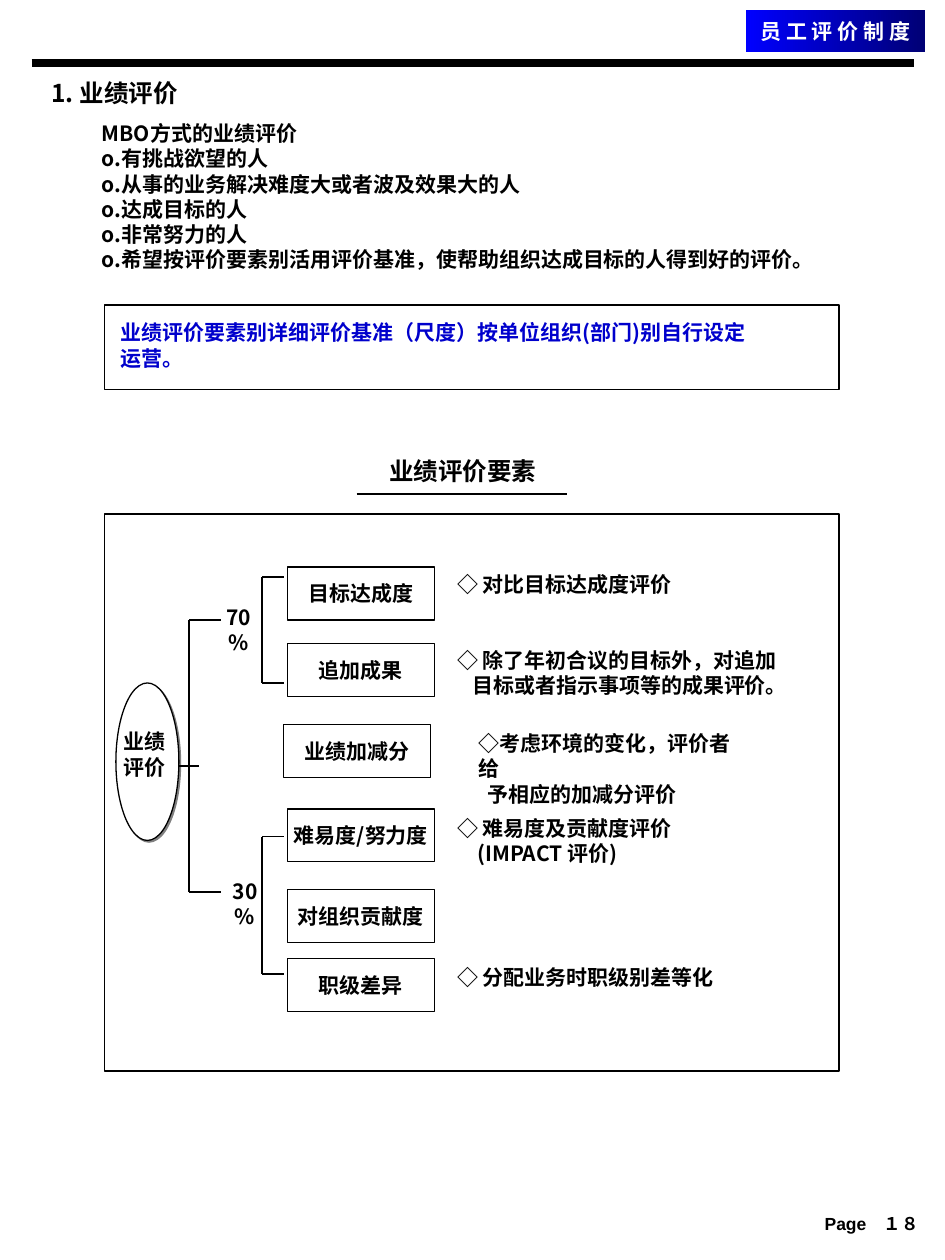
from dataclasses import dataclass

from lxml import etree
from pptx import Presentation
from pptx.dml.color import RGBColor
from pptx.enum.shapes import MSO_CONNECTOR, MSO_SHAPE
from pptx.enum.text import MSO_ANCHOR, MSO_AUTO_SIZE, PP_ALIGN
from pptx.oxml.ns import qn
from pptx.util import Inches, Pt

LEFT, CENTER, RIGHT = PP_ALIGN.LEFT, PP_ALIGN.CENTER, PP_ALIGN.RIGHT
TOP, MIDDLE = MSO_ANCHOR.TOP, MSO_ANCHOR.MIDDLE
RECT, OVAL = MSO_SHAPE.RECTANGLE, MSO_SHAPE.OVAL
STRAIGHT = MSO_CONNECTOR.STRAIGHT
FIT = MSO_AUTO_SIZE.SHAPE_TO_FIT_TEXT


@dataclass(frozen=True)
class Theme:
    black: RGBColor = RGBColor(0, 0, 0)
    white: RGBColor = RGBColor(255, 255, 255)
    blue: RGBColor = RGBColor(0, 0, 0xCC)
    navy: RGBColor = RGBColor(0, 0, 0x75)
    bright: RGBColor = RGBColor(0, 0, 255)
    shadow: str = "808080"
    font: str = "Noto Sans CJK KR"
    header_font: str = "Noto Sans CJK SC"
    page_font: str = "Arial"
    title: float = 14
    body: float = 12
    small: float = 10
    hairline: float = 0.75
    rule: float = 4.5


@dataclass(frozen=True)
class Line:
    text: str
    indent: float = 0
    before: float = 0


@dataclass(frozen=True)
class Factor:
    label: str
    left: float
    top: float


@dataclass(frozen=True)
class Note:
    lines: tuple[Line, ...]
    left: float
    top: float
    width: float
    height: float


@dataclass(frozen=True)
class Bracket:
    left: float
    right: float
    top: float
    bottom: float


T = Theme()

INTRO = [Line(t) for t in (
    "MBO方式的业绩评价",
    "o.有挑战欲望的人",
    "o.从事的业务解决难度大或者波及效果大的人",
    "o.达成目标的人",
    "o.非常努力的人",
    "o.希望按评价要素别活用评价基准，使帮助组织达成目标的人得到好的评价。",
)]
POLICY = [Line("业绩评价要素别详细评价基准（尺度）按单位组织(部门)别自行设定"),
          Line("运营。")]
FACTORS = [
    Factor("目标达成度", 2.28, 4.5),
    Factor("追加成果", 2.28, 5.11),
    Factor("业绩加减分", 2.25, 5.75),
    Factor("难易度/努力度", 2.28, 6.42),
    Factor("对组织贡献度", 2.28, 7.06),
    Factor("职级差异", 2.28, 7.61),
]
NOTES = [
    Note((Line("◇ 对比目标达成度评价"),
          Line("◇ 除了年初合议的目标外，对追加", before=28.8),
          Line("目标或者指示事项等的成果评价。", indent=0.12)), 3.53, 4.49, 2.95, 1.1),
    Note((Line("◇考虑环境的变化，评价者给"),
          Line("予相应的加减分评价", indent=0.07)), 3.7, 5.75, 2.36, 0.5),
    Note((Line("◇ 难易度及贡献度评价"),
          Line("(IMPACT 评价)", indent=0.16)), 3.53, 6.42, 1.95, 0.5),
    Note((Line("◇ 分配业务时职级别差等化"),), 3.53, 7.61, 2.28, 0.3),
]
BRACKETS = [
    Bracket(2.08, 2.25, 4.58, 5.42),
    Bracket(2.08, 2.25, 6.64, 7.73),
    Bracket(1.5, 1.75, 4.92, 7.08),
]


def write(s, lines, *, size=T.body, color=T.black, font=T.font, align=LEFT,
          anchor=TOP, wrap=False, fit=False, insets=(0.1, 0.05, 0.1, 0.05)) -> None:
    tf = s.text_frame
    tf.word_wrap = wrap
    tf.vertical_anchor = anchor
    tf.auto_size = FIT if fit else MSO_AUTO_SIZE.NONE
    (tf.margin_left, tf.margin_top,
     tf.margin_right, tf.margin_bottom) = map(Inches, insets)
    for i, line in enumerate(lines):
        p = tf.paragraphs[0] if i == 0 else tf.add_paragraph()
        p.alignment = align
        if line.before:
            p.space_before = Pt(line.before)
        if line.indent:
            p._p.get_or_add_pPr().set("marL", str(Inches(line.indent)))
        r = p.add_run()
        r.text = line.text
        r.font.size = Pt(size)
        r.font.bold = True
        r.font.color.rgb = color
        r.font.name = font
        etree.SubElement(r._r.get_or_add_rPr(), qn("a:ea"), typeface=font)


def add_text(slide, lines, left: float, top: float, width: float, height: float,
             *, fit=True, **fmt):
    s = slide.shapes.add_textbox(*map(Inches, (left, top, width, height)))
    write(s, lines, fit=fit, **fmt)
    return s


def add_box(slide, left: float, top: float, width: float, height: float,
            kind=RECT):
    s = slide.shapes.add_shape(kind, *map(Inches, (left, top, width, height)))
    s.shadow.inherit = False
    s.fill.background()
    s.line.color.rgb = T.black
    s.line.width = Pt(T.hairline)
    return s


def add_line(slide, x1: float, y1: float, x2: float, y2: float,
             width: float = T.hairline) -> None:
    c = slide.shapes.add_connector(STRAIGHT, *map(Inches, (x1, y1, x2, y2)))
    c.line.color.rgb = T.black
    c.line.width = Pt(width)
    etree.SubElement(c._element.spPr, qn("a:effectLst"))


def add_bracket(slide, b: Bracket) -> None:
    for y in (b.top, b.bottom):
        add_line(slide, b.left, y, b.right, y)
    add_line(slide, b.left, b.bottom, b.left, b.top)


def add_header(slide) -> None:
    add_line(slide, 0.25, 0.5, 7.25, 0.5, T.rule)
    s = add_box(slide, 5.92, 0.08, 1.42, 0.33)
    s.line.fill.background()
    s.fill.gradient()
    s.fill.gradient_angle = 180
    for stop, color in zip(s.fill.gradient_stops, (T.navy, T.bright)):
        stop.color.rgb = color
    write(s, [Line("员 工 评 价 制 度")], color=T.white, font=T.header_font,
          align=CENTER, anchor=MIDDLE)


def add_root(slide) -> None:
    s = add_box(slide, 0.92, 5.42, 0.5, 1.25, OVAL)
    s.fill.solid()
    s.fill.fore_color.rgb = T.white
    effects = s._element.spPr.find(qn("a:effectLst"))
    shadow = etree.SubElement(effects, qn("a:outerShdw"), dist=str(Pt(1.4)),
                              dir="2700000", algn="ctr", rotWithShape="0")
    etree.SubElement(shadow, qn("a:srgbClr"), val=T.shadow)
    write(s, [Line("业绩"), Line("评价")], align=CENTER, anchor=MIDDLE,
          insets=(0, 0, 0.04, 0.12))


def main() -> None:
    prs = Presentation()
    prs.slide_width, prs.slide_height = Inches(7.5), Inches(10)
    slide = prs.slides.add_slide(prs.slide_layouts[6])

    add_header(slide)
    add_text(slide, [Line("1. 业绩评价")], 0.31, 0.57, 1.32, 0.34, size=T.title)
    add_text(slide, INTRO, 0.71, 0.91, 5.94, 1.3)
    add_box(slide, 0.83, 2.42, 5.83, 0.67)
    add_text(slide, POLICY, 0.86, 2.49, 5.36, 0.5, color=T.blue)

    add_text(slide, [Line("业绩评价要素")], 2.99, 3.57, 1.37, 0.34, size=T.title)
    add_line(slide, 2.83, 3.92, 4.5, 3.92)
    add_box(slide, 0.83, 4.08, 5.83, 4.42)
    add_root(slide)
    add_line(slide, 1.42, 6.08, 1.58, 6.08)
    for b in BRACKETS:
        add_bracket(slide, b)
    for label, left, top in (("70%", 1.67, 4.75), ("30%", 1.72, 6.92)):
        add_text(slide, [Line(label)], left, top, 0.45, 0.5, align=CENTER, wrap=True)
    for f in FACTORS:
        s = add_box(slide, f.left, f.top, 1.17, 0.42)
        write(s, [Line(f.label)], align=CENTER, anchor=MIDDLE, insets=(0, 0, 0, 0))
    for n in NOTES:
        add_text(slide, n.lines, n.left, n.top, n.width, n.height, wrap=True)

    add_text(slide, [Line("Page　１８")], 5.83, 9.58, 1.56, 0.25, size=T.small,
             font=T.page_font, align=RIGHT, wrap=True, fit=False)
    prs.save("out.pptx")


if __name__ == "__main__":
    main()
